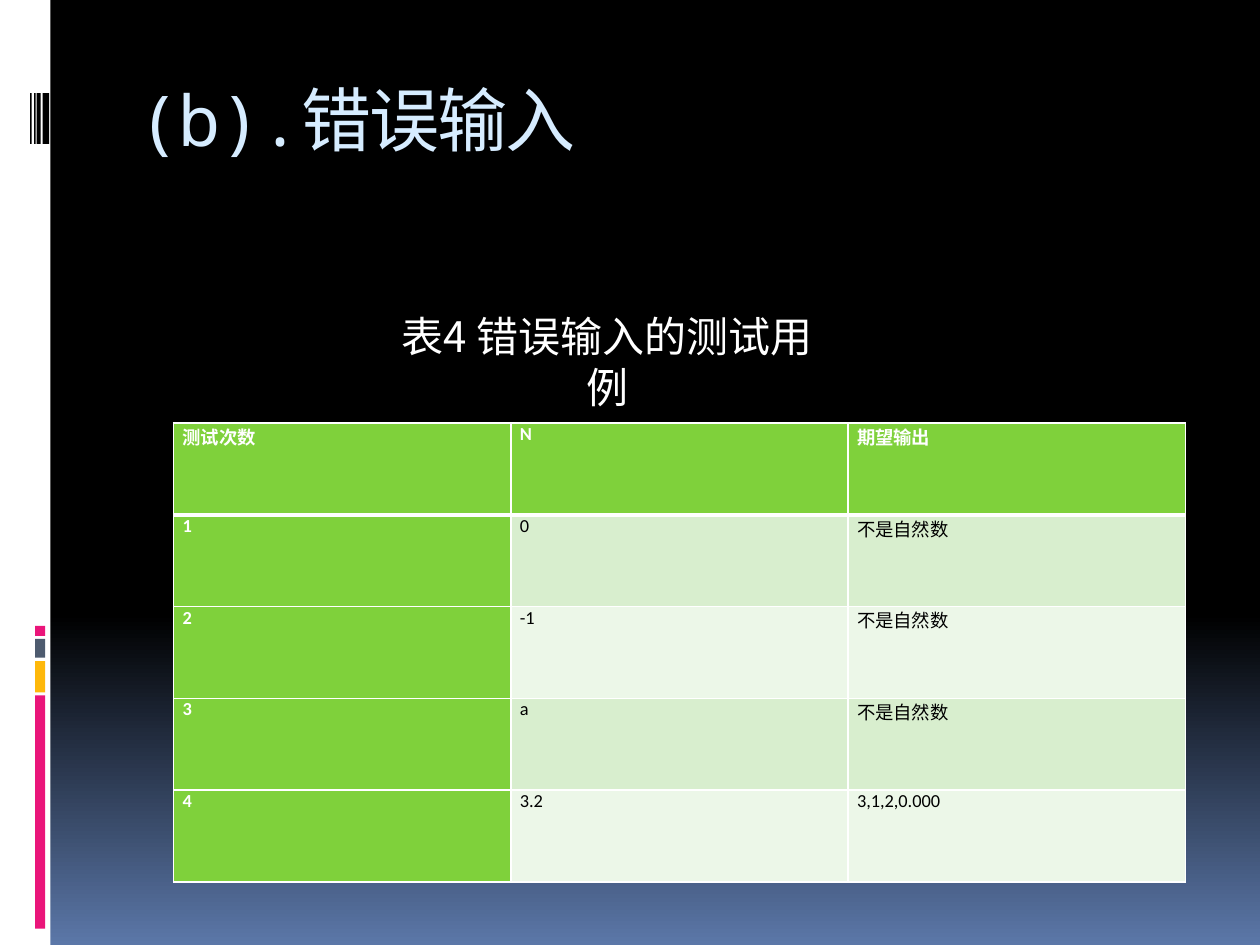
from typing import NamedTuple

from lxml import etree
from pptx import Presentation
from pptx.dml.color import RGBColor
from pptx.enum.shapes import MSO_SHAPE
from pptx.enum.text import MSO_ANCHOR, PP_ALIGN
from pptx.oxml.ns import qn
from pptx.util import Cm, Pt

RECT = MSO_SHAPE.RECTANGLE
TOP, MIDDLE = MSO_ANCHOR.TOP, MSO_ANCHOR.MIDDLE
LEFT, CENTER = PP_ALIGN.LEFT, PP_ALIGN.CENTER

HUES = {
    "white": "FFFFFF", "black": "000000", "dusk": "5B77A8", "pink": "EA157A",
    "amber": "FEB80A", "slate": "4E5B6F", "ice": "D6ECFF", "green": "7FD13B",
    "mint": "D8EECE", "pale": "ECF7E8",
}


class Bar(NamedTuple):
    left: float
    top: float
    width: float
    height: float
    hue: str


class Style(NamedTuple):
    size: float
    face: str
    hue: str
    bold: bool = False
    align: int = LEFT


BARS = [
    Bar(0, 0, 1.02, 19.05, "white"),
    Bar(0.71, 14.02, 0.2, 4.7, "pink"),
    Bar(0.71, 13.33, 0.2, 0.63, "amber"),
    Bar(0.71, 12.88, 0.2, 0.38, "slate"),
    Bar(0.71, 12.62, 0.2, 0.2, "pink"),
    *(Bar(left, 1.88, width, 1.02, "black")
      for left, width in [(0.86, 0.13), (0.74, 0.08), (0.69, 0.03), (0.61, 0.03)]),
]

ROWS = [
    ("测试次数", "N", "期望输出"),
    ("1", "0", "不是自然数"),
    ("2", "-1", "不是自然数"),
    ("3", "a", "不是自然数"),
    ("4", "3.2", "3,1,2,0.000"),
]
COL, ROW = 6.8, 1.85

HEAD = Style(40, "Noto Sans Mono", "ice")
LABEL = Style(24, "Noto Sans CJK SC", "white", align=CENTER)
KEY = Style(10.5, "Calibri", "white", True)
BODY = Style(10.5, "Calibri", "black")


def tint(name: str) -> RGBColor:
    return RGBColor.from_string(HUES[name])


def write(frame, text: str, style: Style):
    para = frame.paragraphs[0]
    para.alignment = style.align
    run = para.add_run()
    run.text = text
    form = {"size": Pt(style.size), "name": style.face, "bold": style.bold}
    for key, value in form.items():
        setattr(run.font, key, value)
    run.font.color.rgb = tint(style.hue)
    return run


def draw_bar(slide, bar: Bar) -> None:
    shape = slide.shapes.add_shape(RECT, *map(Cm, bar[:4]))
    shape.shadow.inherit = False
    shape.fill.solid()
    shape.fill.fore_color.rgb = tint(bar.hue)
    shape.line.fill.background()


def edge(cell, sides: dict[str, float]) -> None:
    props = cell._tc.get_or_add_tcPr()
    for spot, (side, width) in enumerate(sides.items()):
        line = etree.Element(qn(f"a:ln{side}"), w=str(Pt(width)))
        fill = etree.SubElement(line, qn("a:solidFill"))
        etree.SubElement(fill, qn("a:srgbClr"), val=HUES["white"])
        props.insert(spot, line)


def draw_table(slide) -> None:
    count, span = len(ROWS), len(ROWS[0])
    table = slide.shapes.add_table(
        count, span, Cm(3.5), Cm(8.53), Cm(COL * span), Cm(ROW * count)).table
    form = {"margin_left": Cm(0.18), "margin_right": Cm(0.18),
            "margin_top": 0, "margin_bottom": 0, "vertical_anchor": TOP}
    for r, row in enumerate(ROWS):
        for c, text in enumerate(row):
            cell = table.cell(r, c)
            for key, value in form.items():
                setattr(cell, key, value)
            lead = r == 0 or c == 0
            hue = "green" if lead else "mint" if r % 2 else "pale"
            cell.fill.solid()
            cell.fill.fore_color.rgb = tint(hue)
            write(cell.text_frame, text, KEY if lead else BODY)
            edge(cell, {"L": 1, "R": 1, "T": 3 if r == 1 else 1,
                        "B": 3 if r == 0 else 1})


def draw_title(slide) -> None:
    title = slide.shapes.title
    form = {"left": Cm(2.54), "top": Cm(1.42), "width": Cm(21.59), "height": Cm(2.54)}
    for key, value in form.items():
        setattr(title, key, value)
    title.text_frame.vertical_anchor = TOP
    run = write(title.text_frame, "(b).错误输入", HEAD)
    run.font._element.set("spc", "-100")


def draw_label(slide) -> None:
    box = slide.shapes.add_textbox(Cm(7.29), Cm(6.65), Cm(9.9), Cm(1.27))
    form = {"word_wrap": True, "vertical_anchor": MIDDLE,
            "margin_left": Cm(0.5), "margin_right": Cm(0.5)}
    for key, value in form.items():
        setattr(box.text_frame, key, value)
    run = write(box.text_frame, "表4 错误输入的测试用例", LABEL)
    etree.SubElement(run.font._element, qn("a:ea"), typeface=LABEL.face)


def main() -> None:
    deck = Presentation()
    deck.slide_width, deck.slide_height = Cm(25.4), Cm(19.05)
    slide = deck.slides.add_slide(deck.slide_layouts[5])
    fill = slide.background.fill
    fill.gradient()
    fill.gradient_angle = 270
    for stop, spot, hue in zip(fill.gradient_stops, (0.65, 1), ("black", "dusk")):
        stop.position = spot
        stop.color.rgb = tint(hue)
    for bar in BARS:
        draw_bar(slide, bar)
    draw_title(slide)
    draw_table(slide)
    draw_label(slide)
    deck.save("out.pptx")


if __name__ == "__main__":
    main()
